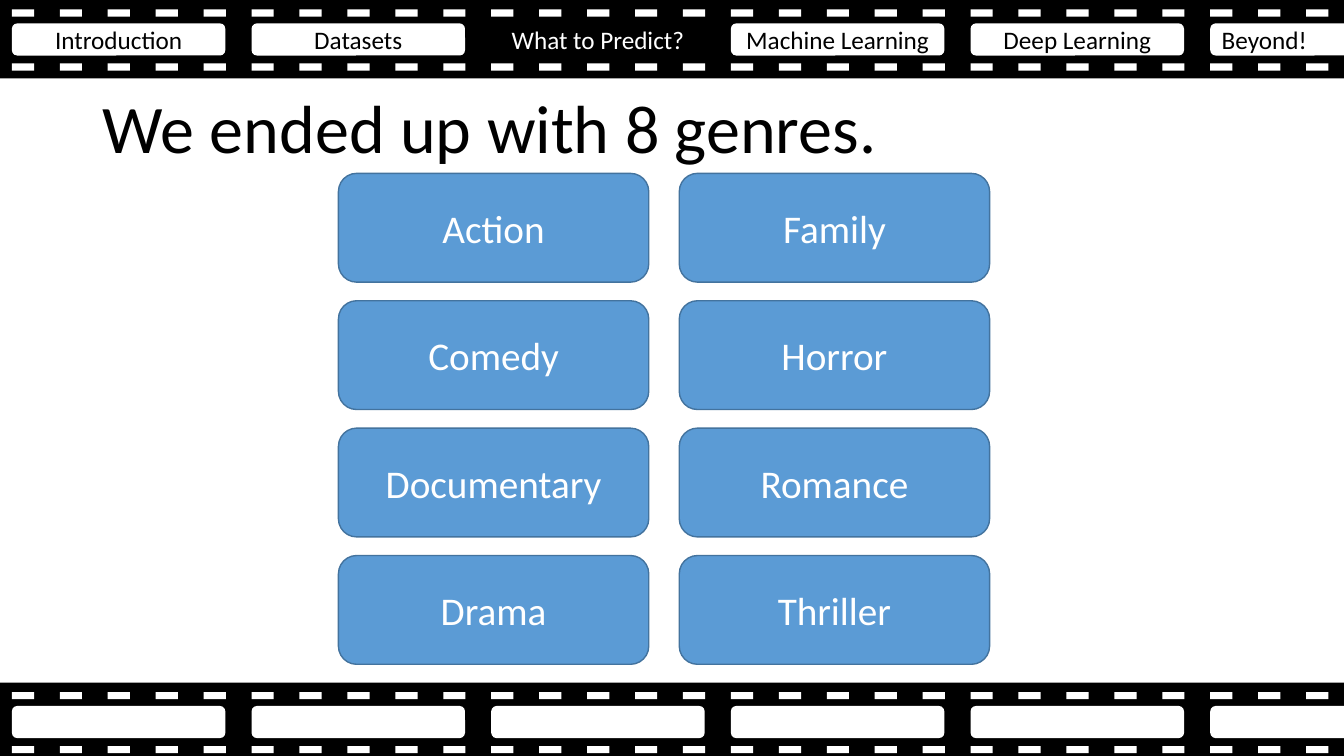
from pptx import Presentation
from pptx.dml.color import RGBColor
from pptx.enum.shapes import MSO_SHAPE
from pptx.enum.text import MSO_ANCHOR, PP_ALIGN
from pptx.util import Cm, Pt

COLORS = {
    "black": "000000",
    "white": "FFFFFF",
    "genre": "5B9BD5",
    "genre_edge": "43739E",
}
FONT = "Calibri"
SLIDE_WIDTH, SLIDE_HEIGHT = 33.87, 19.05

STRIP_HEIGHT = 1.98
STRIP_TOPS = (0, 17.2)
FRAME_LEFT, FRAME_PITCH = 0.3, 6.04
HOLES_PER_FRAME, HOLE_COUNT = 5, 28
HOLE_OFFSETS = (0.24, 1.6)

SECTIONS = ["Introduction", "Datasets", "What to Predict?",
            "Machine Learning", "Deep Learning", "Beyond!"]
CURRENT_SECTION = "What to Predict?"
GENRE_COLUMNS = [
    ["Action", "Comedy", "Documentary", "Drama"],
    ["Family", "Horror", "Romance", "Thriller"],
]


def color(name):
    return RGBColor.from_string(COLORS[name])


def write(shape, text, size, ink, align=PP_ALIGN.CENTER):
    frame = shape.text_frame
    frame.word_wrap = True
    frame.vertical_anchor = MSO_ANCHOR.MIDDLE
    frame.text = text
    paragraph = frame.paragraphs[0]
    paragraph.alignment = align
    font = paragraph.runs[0].font
    font.name = FONT
    font.size = Pt(size)
    font.color.rgb = color(ink)
    return paragraph


def add_block(slide, kind, left, top, width, height, fill, edge=None):
    block = slide.shapes.add_shape(kind, Cm(left), Cm(top), Cm(width), Cm(height))
    block.shadow.inherit = False
    block.fill.solid()
    block.fill.fore_color.rgb = color(fill)
    if edge:
        block.line.color.rgb = color(edge)
        block.line.width = Pt(1)
    else:
        block.line.fill.background()
    return block


def add_title(slide, text):
    title = slide.shapes.add_textbox(Cm(2.34), Cm(2.26), Cm(29.21), Cm(2.13))
    write(title, text, 48.6, "black", PP_ALIGN.LEFT).line_spacing = 0.9


def add_film_strip(slide, top):
    """Black band with two rows of white perforations."""
    add_block(slide, MSO_SHAPE.RECTANGLE, 0, top, SLIDE_WIDTH, STRIP_HEIGHT, "black")
    for offset in HOLE_OFFSETS:
        for hole in range(HOLE_COUNT):
            left = FRAME_LEFT + hole * FRAME_PITCH / HOLES_PER_FRAME
            add_block(slide, MSO_SHAPE.RECTANGLE, left, top + offset, 0.56, 0.18, "white")


def add_film_frame(slide, index, strip_top, fill):
    return add_block(slide, MSO_SHAPE.ROUNDED_RECTANGLE,
                     FRAME_LEFT + index * FRAME_PITCH, strip_top + 0.59,
                     5.38, 0.81, fill)


def add_navigation(slide, strip_top):
    for index, section in enumerate(SECTIONS):
        fill, ink = ("black", "white") if section == CURRENT_SECTION else ("white", "black")
        # The last frame runs off the slide, so its label starts at the left.
        align = PP_ALIGN.LEFT if section == SECTIONS[-1] else PP_ALIGN.CENTER
        write(add_film_frame(slide, index, strip_top, fill), section, 18, ink, align)


def add_genres(slide):
    for column, genres in enumerate(GENRE_COLUMNS):
        for row, genre in enumerate(genres):
            button = add_block(slide, MSO_SHAPE.ROUNDED_RECTANGLE,
                               8.53 + column * 8.59, 4.37 + row * 3.21,
                               7.82, 2.74, "genre", "genre_edge")
            write(button, genre, 28, "white")


def main():
    presentation = Presentation()
    presentation.slide_width = Cm(SLIDE_WIDTH)
    presentation.slide_height = Cm(SLIDE_HEIGHT)
    slide = presentation.slides.add_slide(presentation.slide_layouts[6])

    add_title(slide, "We ended up with 8 genres.")
    for top in STRIP_TOPS:
        add_film_strip(slide, top)
    top_strip, bottom_strip = STRIP_TOPS
    for index in range(len(SECTIONS)):
        add_film_frame(slide, index, bottom_strip, "white")
    add_navigation(slide, top_strip)
    add_genres(slide)

    presentation.save("out.pptx")


if __name__ == "__main__":
    main()
